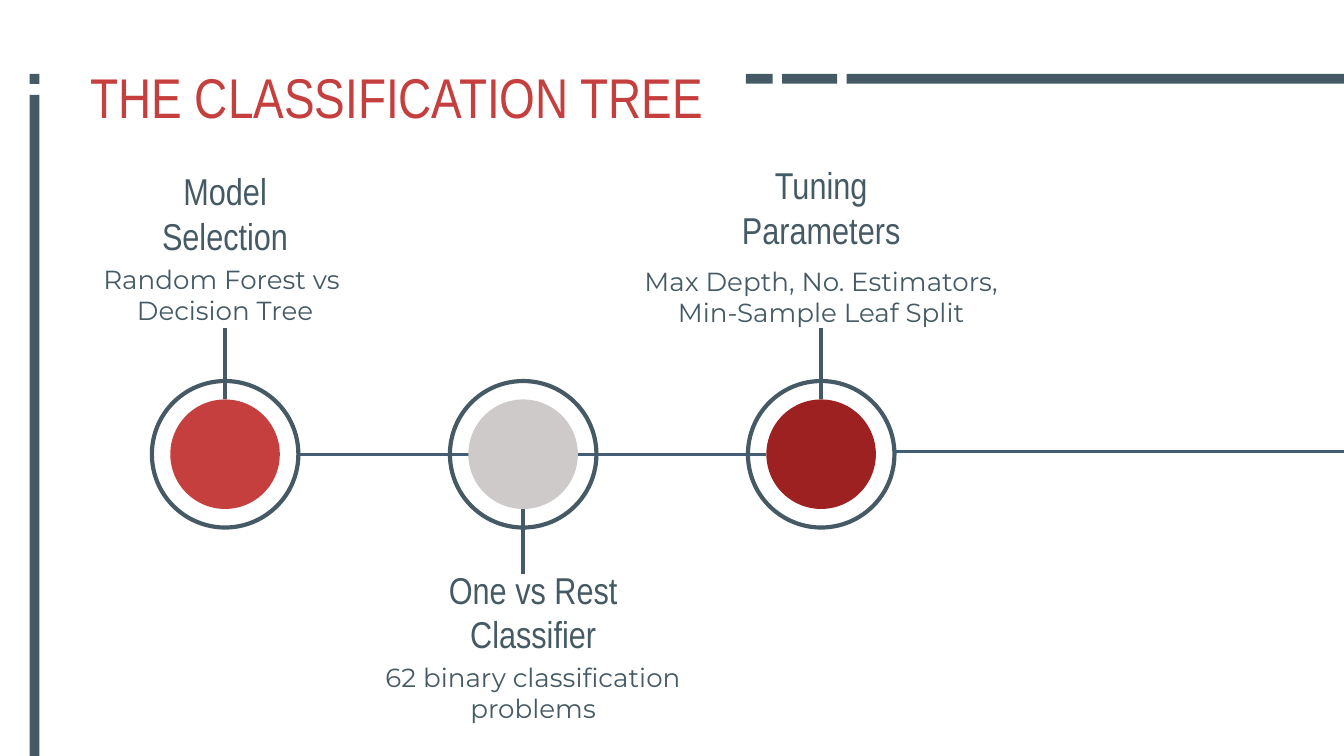
from collections import namedtuple

from lxml.etree import SubElement
from pptx import Presentation
from pptx.dml.color import RGBColor
from pptx.enum.shapes import MSO_CONNECTOR as Link, MSO_SHAPE as Shape
from pptx.enum.text import MSO_ANCHOR as Anchor, PP_ALIGN as Align
from pptx.oxml.ns import qn
from pptx.util import Inches, Pt

# The grid has square cells, a tenth of an inch wide: 100 columns by 56.25 rows.
COLUMNS, ROWS = 100, 56.25
SLATE, STEEL, RED, GREY, DARK_RED = "455A64", "435D74", "C53F3F", "CECACA", "9E2121"
HEADING_FONT, BODY_FONT = "Arial Narrow", "Montserrat"
RING, DOT = 10.9, 8.15

Box = namedtuple("Box", "left top width height")
Stage = namedtuple("Stage", "color stem_end shift heading heading_box detail detail_box")


def cells(count):
    return Inches(count / 10)


def color(hex_code):
    return RGBColor.from_string(hex_code)


def add_text(page, box, text, font, size, ink=SLATE, align=Align.CENTER, anchor=Anchor.TOP):
    frame = page.shapes.add_textbox(*map(cells, box)).text_frame
    frame.word_wrap = True
    frame.vertical_anchor = anchor
    frame.margin_left = frame.margin_right = cells(1)
    frame.margin_top = frame.margin_bottom = cells(1)
    for index, line in enumerate(text.split("\n")):
        para = frame.paragraphs[0] if index == 0 else frame.add_paragraph()
        para.alignment = align
        span = para.add_run()
        span.text = line
        span.font.name, span.font.size = font, Pt(size)
        span.font.color.rgb = color(ink)


def add_figure(page, preset, box, fill=None, outline=None):
    figure = page.shapes.add_shape(preset, *map(cells, box))
    figure.shadow.inherit = False
    if fill:
        figure.fill.solid()
        figure.fill.fore_color.rgb = color(fill)
    else:
        figure.fill.background()
    if outline:
        figure.line.color.rgb = color(outline)
        figure.line.width = Pt(2.25)
    else:
        figure.line.fill.background()


def add_line(page, start, end, ink, width):
    line = page.shapes.add_connector(Link.STRAIGHT, *map(cells, (*start, *end)))
    line.line.color.rgb = color(ink)
    line.line.width = Pt(width)
    SubElement(line._element.spPr, qn("a:effectLst"))


def add_frame(page, box, thickness=0.73):
    """Draw the broken bars along the top and left edges of the box."""
    right, bottom = box.left + box.width, box.top + box.height
    for left, end in ((55.5, 57.5), (58.2, 62.3), (63, right)):
        add_figure(page, Shape.RECTANGLE, Box(left, box.top, end - left, thickness), SLATE)
    for top, end in ((box.top, 6.25), (7.05, bottom)):
        add_figure(page, Shape.RECTANGLE, Box(box.left, top, thickness, end - top), SLATE)


def add_stage(page, box, stage):
    """Draw a ringed dot in the box, its stem and its two captions."""
    center = box.left + box.width / 2
    inset = (box.width - DOT) / 2
    dot = Box(box.left + inset, box.top + inset, DOT, DOT)
    stem_start = dot.top if stage.stem_end < box.top else dot.top + DOT
    add_line(page, (center, stem_start), (center, stage.stem_end), SLATE, 2.25)
    add_figure(page, Shape.OVAL, box, outline=SLATE)
    add_figure(page, Shape.OVAL, dot, fill=stage.color)
    for text, (top, width, height), font, size, anchor in (
        (stage.heading, stage.heading_box, HEADING_FONT, 20, Anchor.MIDDLE),
        (stage.detail, stage.detail_box, BODY_FONT, 14, Anchor.TOP),
    ):
        area = Box(center + stage.shift - width / 2, top, width, height)
        add_text(page, area, text, font, size, anchor=anchor)


def add_timeline(page, box, stages):
    """Space the stages evenly over the box and join them by a line."""
    pitch = (box.width - RING) / (len(stages) - 1)
    right, middle = box.left + box.width, box.top + box.height / 2
    dot_edge = right - (RING + DOT) / 2
    add_line(page, (box.left + RING, middle), (dot_edge, middle), STEEL, 1.5)
    for index, stage in enumerate(stages):
        add_stage(page, Box(box.left + index * pitch, box.top, RING, RING), stage)
    add_line(page, (right, 33.6), (COLUMNS, 33.6), STEEL, 1.5)


def main():
    deck = Presentation()
    deck.slide_width, deck.slide_height = cells(COLUMNS), cells(ROWS)
    page = deck.slides.add_slide(deck.slide_layouts[6])

    # Caption boxes are given as top, width and height.
    stages = [
        Stage(RED, 24.4, 0, "Model Selection", (13.8, 13.7, 4.1),
              "Random Forest vs \nDecision Tree", (18.6, 21.8, 4.1)),
        Stage(GREY, 42.7, 0.75, "One vs Rest Classifier", (43.45, 17.1, 4.1),
              "62 binary classification problems", (48.2, 27.6, 5.4)),
        Stage(DARK_RED, 24.4, 0, "Tuning Parameters", (13, 17.1, 4.8),
              "Max Depth, No. Estimators, Min-Sample Leaf Split", (18.75, 30.9, 4.7)),
    ]
    add_frame(page, Box(2.2, 5.5, COLUMNS - 2.2, ROWS - 5.5))
    add_text(page, Box(5.75, 3.65, 69.8, 6.3), "THE CLASSIFICATION TREE",
             HEADING_FONT, 30, ink=RED, align=Align.LEFT)
    add_timeline(page, Box(11.3, 28.35, 55.25, RING), stages)
    deck.save("out.pptx")


if __name__ == "__main__":
    main()
